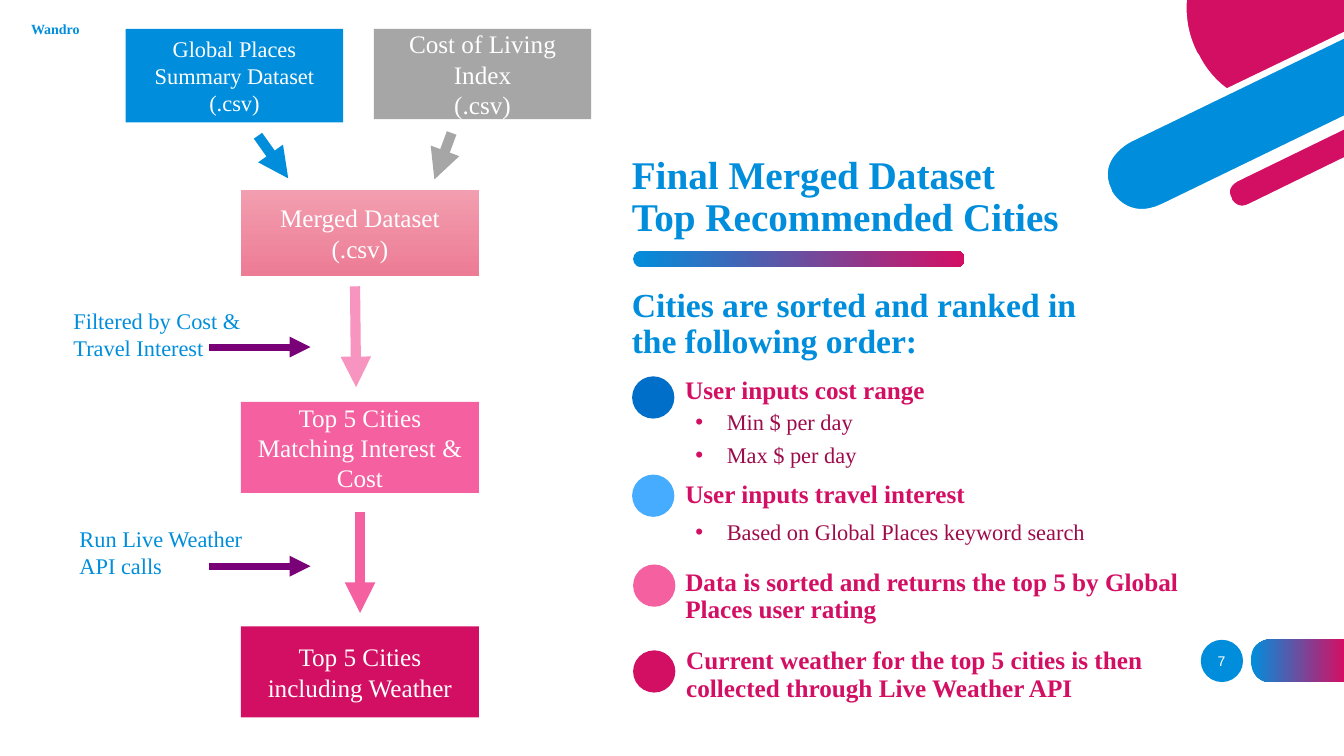
from lxml import etree
from pptx import Presentation
from pptx.dml.color import RGBColor
from pptx.enum import shapes, text
from pptx.oxml import ns
from pptx.util import Pt

SERIF = "Times New Roman"
COLORS = {
    "blue": "008EDC", "deep_blue": "006FC9", "sky": "46ACFF",
    "crimson": "D30F64", "wine": "9E0B4B", "pink": "F460A0",
    "light_pink": "F795C0", "rose": "F39EB0", "dark_rose": "EC7C95",
    "purple": "7A0078", "grey": "A6A6A6", "white": "FFFFFF",
}
RGB = {name: RGBColor.from_string(value) for name, value in COLORS.items()}
KIND = shapes.MSO_SHAPE
ALIGN = text.PP_ALIGN
ANCHOR = text.MSO_ANCHOR

deck = Presentation()
deck.slide_width, deck.slide_height = Pt(960), Pt(540)
page = deck.slides.add_slide(deck.slide_layouts[6])


def paint(shape, color, end_color=None, angle=0):
    """Fill a shape, as a gradient if there is an end colour, with no line or shadow."""
    shape.shadow.inherit = False
    shape.line.fill.background()
    if end_color is None:
        shape.fill.solid()
        shape.fill.fore_color.rgb = RGB[color]
        return
    shape.fill.gradient()
    shape.fill.gradient_angle = angle
    for stop, name, position in zip(shape.fill.gradient_stops, (color, end_color), (0, 1)):
        stop.color.rgb = RGB[name]
        stop.position = position


def write(box, lines, size, color, bold=False, anchor=ANCHOR.TOP, align=ALIGN.LEFT,
          spacing=1.0, bulleted=False, font=SERIF):
    frame = box.text_frame
    frame.word_wrap = True
    frame.vertical_anchor = anchor
    for index, line in enumerate(lines):
        para = frame.add_paragraph() if index else frame.paragraphs[0]
        para.text = line
        para.alignment = align
        para.line_spacing = spacing
        if bulleted:
            para.space_before = Pt(6 if index else 0)
            props = para._p.get_or_add_pPr()
            props.set("marL", str(Pt(22.5)))
            props.set("indent", str(-Pt(22.5)))
            bullet_color = etree.SubElement(props, ns.qn("a:buClr"))
            etree.SubElement(bullet_color, ns.qn("a:srgbClr"), val=COLORS["crimson"])
            etree.SubElement(props, ns.qn("a:buFont"), typeface="Arial")
            etree.SubElement(props, ns.qn("a:buChar"), char="•")
        for span in para.runs:
            span.font.name, span.font.size, span.font.bold = font, Pt(size), bold
            span.font.color.rgb = RGB[color]


# Corner decoration and page tab: two points add a line, six add a Bézier curve
outlines = [
    ("crimson", None, (855.4, 40.3),
     [(855.4, 40.3, 861.8, 54.7, 876.2, 64.8), (963, 23), (963, -3), (846.5, -3),
      (845.3, 10.8, 846.7, 23.8, 853.9, 38.2)]),
    ("blue", None, (807.1, 100.1),
     [(807.1, 100.1, 781.2, 113, 792.7, 136.1), (792.7, 136.8),
      (792.7, 136.8, 804.2, 159.8, 830.9, 146.9), (963, 82.8), (963, 24.5)]),
    ("crimson", None, (883.4, 128.2),
     [(883.4, 128.2, 873.4, 133.2, 878.4, 141.8), (878.4, 142.6),
      (878.4, 142.6, 882.7, 151.9, 892.8, 146.9), (963, 112.6), (963, 89.4)]),
    ("blue", "crimson", (908.6, 456.5),
     [(908.6, 456.5, 893.5, 456.5, 893.5, 471.6), (893.5, 472.3),
      (893.5, 472.3, 893.5, 487.4, 908.6, 487.4), (960, 487.4), (960, 456.5)]),
]
STEPS = 16
for color, end_color, start, segments in outlines:
    points = [start]
    for segment in segments:
        if len(segment) == 2:
            points.append(segment)
            continue
        x0, y0 = points[-1]
        x1, y1, x2, y2, x3, y3 = segment
        for step in range(1, STEPS + 1):
            t = step / STEPS
            a, b, c, d = (1 - t) ** 3, 3 * t * (1 - t) ** 2, 3 * t * t * (1 - t), t ** 3
            points.append((a * x0 + b * x1 + c * x2 + d * x3,
                           a * y0 + b * y1 + c * y2 + d * y3))
    hundredths = [(x * 100, y * 100) for x, y in points]
    builder = page.shapes.build_freeform(*hundredths[0], scale=Pt(1) / 100)
    builder.add_line_segments(hundredths[1:], close=True)
    outline = builder.convert_to_shape()
    paint(outline, color, end_color)
    if end_color is None:
        outline.line.color.rgb = RGB["white"]
        outline.line.width = Pt(3)

title_bar = page.shapes.add_shape(KIND.ROUNDED_RECTANGLE, Pt(452.2), Pt(179.3), Pt(236.9), Pt(11.5))
title_bar.adjustments[0] = 0.5
paint(title_bar, "blue", "crimson")

# Round markers and page number
for left, top, color in [(451.5, 268.8, "deep_blue"), (451.5, 339, "sky"),
                         (452.2, 403.2, "pink"), (452.2, 464.5, "crimson"),
                         (857.7, 457, "blue")]:
    paint(page.shapes.add_shape(KIND.OVAL, Pt(left), Pt(top), Pt(30.2), Pt(30.2)), color)

# Text boxes
heading = dict(size=18, color="crimson", bold=True, anchor=ANCHOR.BOTTOM, spacing=0.9)
detail = dict(size=16, color="wine", spacing=0.9, bulleted=True)
label = dict(size=16, color="blue")
texts = [
    (444.2, 102.2, 346.3, 72.7, ["Final Merged Dataset\nTop Recommended Cities"],
     dict(size=28, color="blue", bold=True, anchor=ANCHOR.BOTTOM, spacing=0.9)),
    (444.2, 202.3, 366.5, 65.5, ["Cities are sorted and ranked in the following order:"],
     dict(size=24, color="blue", bold=True, spacing=0.9)),
    (482.4, 264.2, 205.9, 28.8, ["User inputs cost range"], heading),
    (489.6, 290.2, 189.4, 41.8, ["Min $ per day", "Max $ per day"], detail),
    (482.4, 338.4, 236.2, 28.8, ["User inputs travel interest"], heading),
    (489.6, 368.6, 316.1, 30.2, ["Based on Global Places keyword search"], detail),
    (482.4, 401.8, 368.6, 47.5,
     ["Data is sorted and returns the top 5 by Global Places user rating"], heading),
    (483.1, 464.4, 384.5, 41,
     ["Current weather for the top 5 cities is then collected through Live Weather API"], heading),
    (45.4, 216, 160.6, 46.1, ["Filtered by Cost & Travel Interest"], label),
    (49.7, 371.5, 157, 46.1, ["Run Live Weather API calls"], label),
    (15.1, 6.5, 60.5, 28.8, ["Wandro"],
     dict(size=10, color="blue", bold=True, anchor=ANCHOR.MIDDLE)),
    (851, 457.9, 43.2, 28.8, ["7"],
     dict(size=10, color="white", anchor=ANCHOR.MIDDLE, align=ALIGN.CENTER, font="Arial")),
]
for left, top, width, height, lines, style in texts:
    write(page.shapes.add_textbox(Pt(left), Pt(top), Pt(width), Pt(height)), lines, **style)

# Flow chart
steps = [
    (89.8, 20.7, 155.3, 66.8, ["Global Places Summary Dataset", "(.csv)"], 16, ("blue",)),
    (267, 20.7, 155.3, 64.4, ["Cost of Living Index", "(.csv)"], 18, ("grey",)),
    (172.1, 135.7, 170, 61.4, ["Merged Dataset", "(.csv)"], 18, ("rose", "dark_rose", 270)),
    (172.1, 287.1, 170, 65, ["Top 5 Cities Matching Interest & Cost"], 18, ("pink",)),
    (172.1, 447.4, 170, 65, ["Top 5 Cities including Weather"], 18, ("crimson",)),
]
for left, top, width, height, lines, size, fill in steps:
    step_box = page.shapes.add_shape(KIND.RECTANGLE, Pt(left), Pt(top), Pt(width), Pt(height))
    paint(step_box, *fill)
    write(step_box, lines, size, "white", anchor=ANCHOR.MIDDLE, align=ALIGN.CENTER)

arrows = [
    (184.3, 97, 205.9, 127.4, "blue", 7.25),
    (322.6, 95, 310.3, 128.2, "grey", 7.25),
    (253.6, 204.5, 254.4, 276.5, "light_pink", 7.25),
    (257.2, 365.8, 257.2, 437.8, "pink", 7.25),
    (149.5, 247.9, 221.8, 247.9, "purple", 5),
    (149.5, 404.4, 221.8, 404.4, "purple", 5),
]
for x1, y1, x2, y2, color, weight in arrows:
    arrow = page.shapes.add_connector(shapes.MSO_CONNECTOR.STRAIGHT, Pt(x1), Pt(y1), Pt(x2), Pt(y2))
    arrow.line.color.rgb = RGB[color]
    arrow.line.width = Pt(weight)
    etree.SubElement(arrow.line._get_or_add_ln(), ns.qn("a:tailEnd"), type="triangle")
    etree.SubElement(arrow._element.spPr, ns.qn("a:effectLst"))

deck.save("out.pptx")
